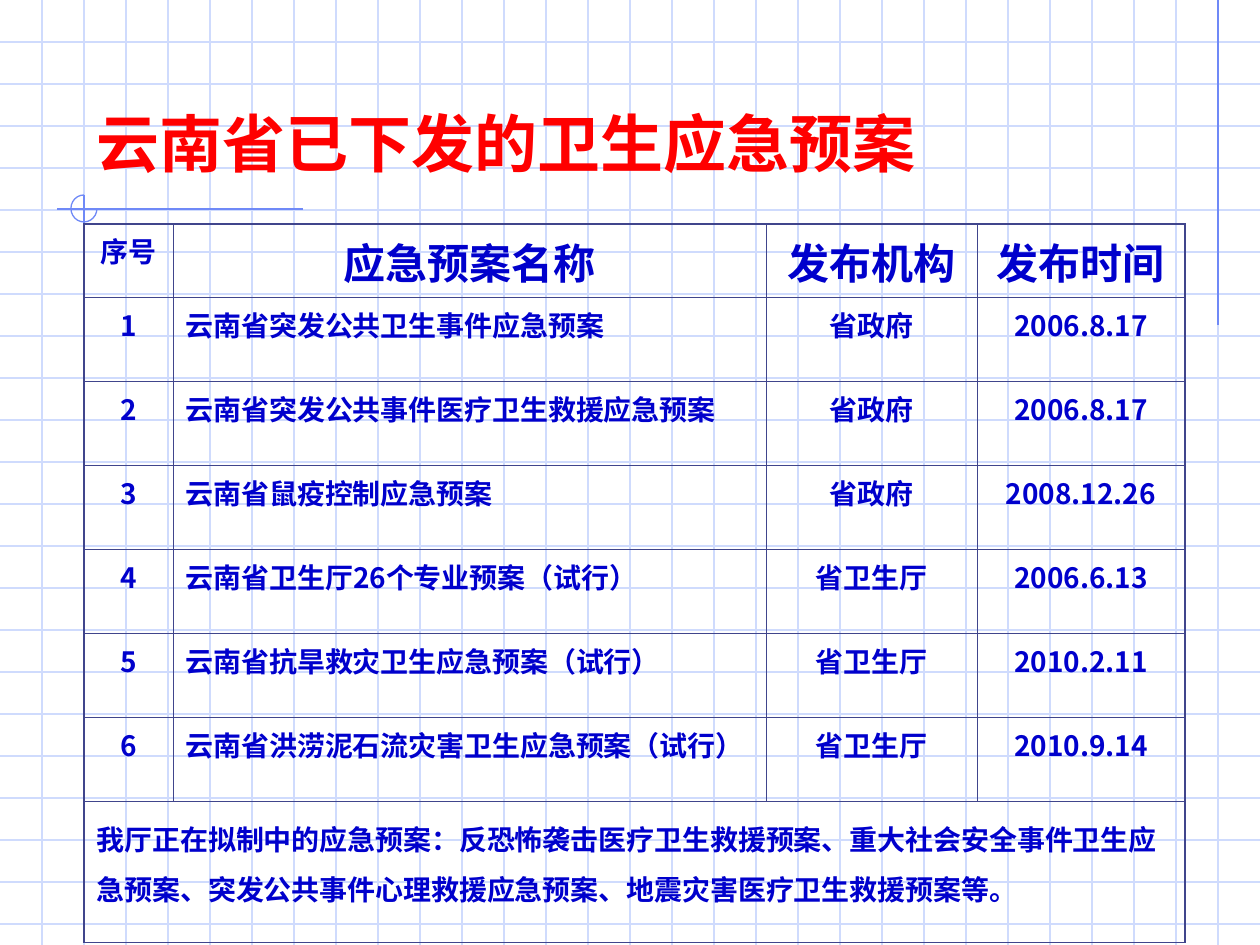
from lxml.etree import SubElement
from pptx import Presentation
from pptx.dml.color import RGBColor
from pptx.enum.shapes import MSO_CONNECTOR, MSO_SHAPE
from pptx.enum.text import MSO_ANCHOR, MSO_AUTO_SIZE, PP_ALIGN
from pptx.oxml.ns import qn
from pptx.util import Pt

EMU_PER_PX = 914400 / 126
WIDTH, HEIGHT, GRID = 1260, 945, 42
CJK, LATIN = "Noto Sans CJK SC", "Lato"
GRID_COLOR, ACCENT, BORDER = "CFDBFD", "6F89F7", "40458C"
RED, BLUE = "FF0000", "0000CC"
THIN, THICK = 0.45, 1.08

COLUMNS = [89, 593, 211, 208]
ROWS = [73] + [84] * 6 + [141]
HEADER = ["序号", "应急预案名称", "发布机构", "发布时间"]
PLANS = [
    ("云南省突发公共卫生事件应急预案", "省政府", "2006.8.17"),
    ("云南省突发公共事件医疗卫生救援应急预案", "省政府", "2006.8.17"),
    ("云南省鼠疫控制应急预案", "省政府", "2008.12.26"),
    ("云南省卫生厅26个专业预案（试行）", "省卫生厅", "2006.6.13"),
    ("云南省抗旱救灾卫生应急预案（试行）", "省卫生厅", "2010.2.11"),
    ("云南省洪涝泥石流灾害卫生应急预案（试行）", "省卫生厅", "2010.9.14"),
]
NOTE = ("我厅正在拟制中的应急预案：反恐怖袭击医疗卫生救援预案、重大社会安全事件卫生应急预案、"
        "突发公共事件心理救援应急预案、地震灾害医疗卫生救援预案等。")


def px(n):
    return round(n * EMU_PER_PX)


def rgb(color):
    return RGBColor.from_string(color)


def write(tf, text, size, color, align=PP_ALIGN.LEFT, spacing=None, font=CJK):
    tf.text = text
    p = tf.paragraphs[0]
    p.alignment = align
    if spacing:
        p.line_spacing = spacing
    r = p.runs[0]
    r.font.size, r.font.bold, r.font.name = Pt(size), True, font
    r.font.color.rgb = rgb(color)
    SubElement(r.font._element, qn("a:ea"), typeface=CJK)


def add_line(shapes, x1, y1, x2, y2, color):
    line = shapes.add_connector(MSO_CONNECTOR.STRAIGHT, px(x1), px(y1), px(x2), px(y2))
    line.line.color.rgb = rgb(color)
    line.line.width = Pt(0.75)
    SubElement(line._element.spPr, qn("a:effectLst"))


def add_grid(s):
    shapes = s.shapes.add_group_shape().shapes
    for y in range(GRID, HEIGHT, GRID):
        add_line(shapes, 0, y, WIDTH, y, GRID_COLOR)
    for x in range(GRID, WIDTH, GRID):
        add_line(shapes, x, 0, x, HEIGHT, GRID_COLOR)


def add_accents(s):
    shapes = s.shapes.add_group_shape().shapes
    add_line(shapes, 1218, 0, 1218, 325, ACCENT)
    add_line(shapes, 303, 209, 57, 209, ACCENT)
    add_line(shapes, 84, 195, 84, 515, ACCENT)
    # Three-quarter circle, clockwise from the right to the top
    arc = shapes.add_shape(MSO_SHAPE.ARC, px(71), px(195), px(26), px(27))
    arc.adjustments[0], arc.adjustments[1] = 0, 162
    arc.shadow.inherit = False
    arc.fill.background()
    arc.line.color.rgb = rgb(ACCENT)
    arc.line.width = Pt(0.75)


def format_title(s):
    title = s.shapes.title
    title.left, title.top, title.width, title.height = px(84), px(94), px(852), px(92)
    tf = title.text_frame
    tf.auto_size = MSO_AUTO_SIZE.NONE
    tf.vertical_anchor = MSO_ANCHOR.BOTTOM
    write(tf, "云南省已下发的卫生应急预案", 36, RED, spacing=1.6)
    # Bring the title in front of the grid
    s.shapes._spTree.append(title._element)


def set_borders(cell, **widths):
    tcPr = cell._tc.get_or_add_tcPr()
    for side, width in widths.items():
        ln = SubElement(tcPr, qn(f"a:ln{side}"), w=str(Pt(width)))
        fill = SubElement(ln, qn("a:solidFill"))
        SubElement(fill, qn("a:srgbClr"), val=BORDER)


def add_plan_table(s):
    frame = s.shapes.add_table(len(ROWS), len(COLUMNS), px(84), px(224),
                               px(sum(COLUMNS)), px(sum(ROWS)))
    table = frame.table
    table.first_row = table.horz_banding = False
    for column, width in zip(table.columns, COLUMNS):
        column.width = px(width)
    for row, height in zip(table.rows, ROWS):
        row.height = px(height)

    # Header and numbered plans
    rows = [HEADER] + [(str(n), *plan) for n, plan in enumerate(PLANS, 1)]
    for i, row in enumerate(rows):
        for j, text in enumerate(row):
            size = 24 if i == 0 and j > 0 else 16
            align = PP_ALIGN.LEFT if i > 0 and j == 1 else PP_ALIGN.CENTER
            write(table.cell(i, j).text_frame, text, size, BLUE, align)

    # Closing note across all columns
    last_row, last_col = len(ROWS) - 1, len(COLUMNS) - 1
    note = table.cell(last_row, 0)
    note.merge(table.cell(last_row, last_col))
    write(note.text_frame, NOTE, 16, BLUE, spacing=1.25, font=LATIN)

    # Thick outer frame and note, thin inner lines
    for i in range(len(ROWS)):
        for j in range(len(COLUMNS)):
            cell = table.cell(i, j)
            in_note = i == last_row
            set_borders(cell,
                        L=THICK if in_note or j == 0 else THIN,
                        R=THICK if in_note or j == last_col else THIN,
                        T=THICK if in_note or i == 0 else THIN,
                        B=THICK if i >= last_row - 1 else THIN)
            cell.fill.background()


def main():
    prs = Presentation()
    prs.slide_width, prs.slide_height = px(WIDTH), px(HEIGHT)
    s = prs.slides.add_slide(prs.slide_layouts[5])
    add_grid(s)
    add_accents(s)
    format_title(s)
    add_plan_table(s)
    prs.save("out.pptx")


if __name__ == "__main__":
    main()
